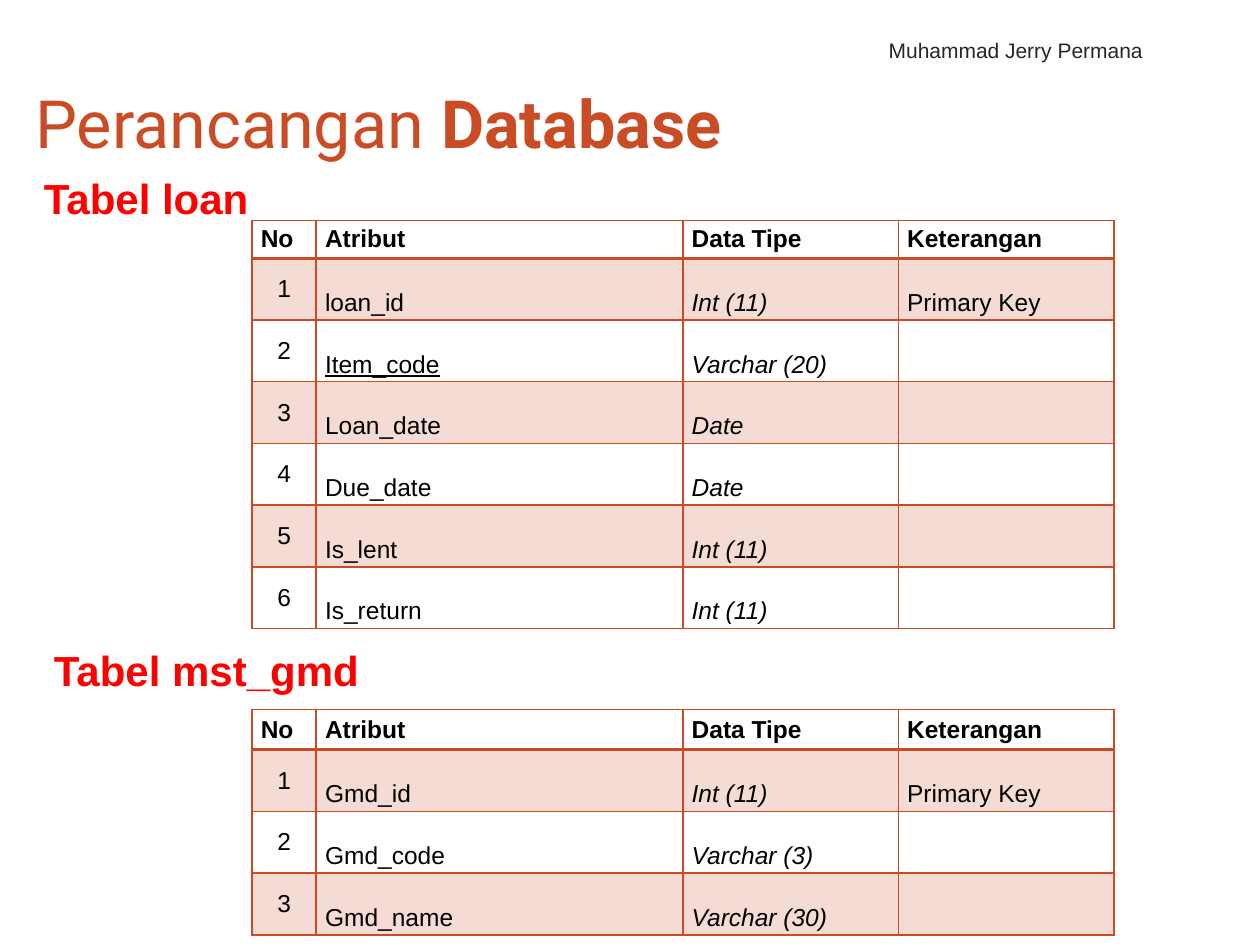
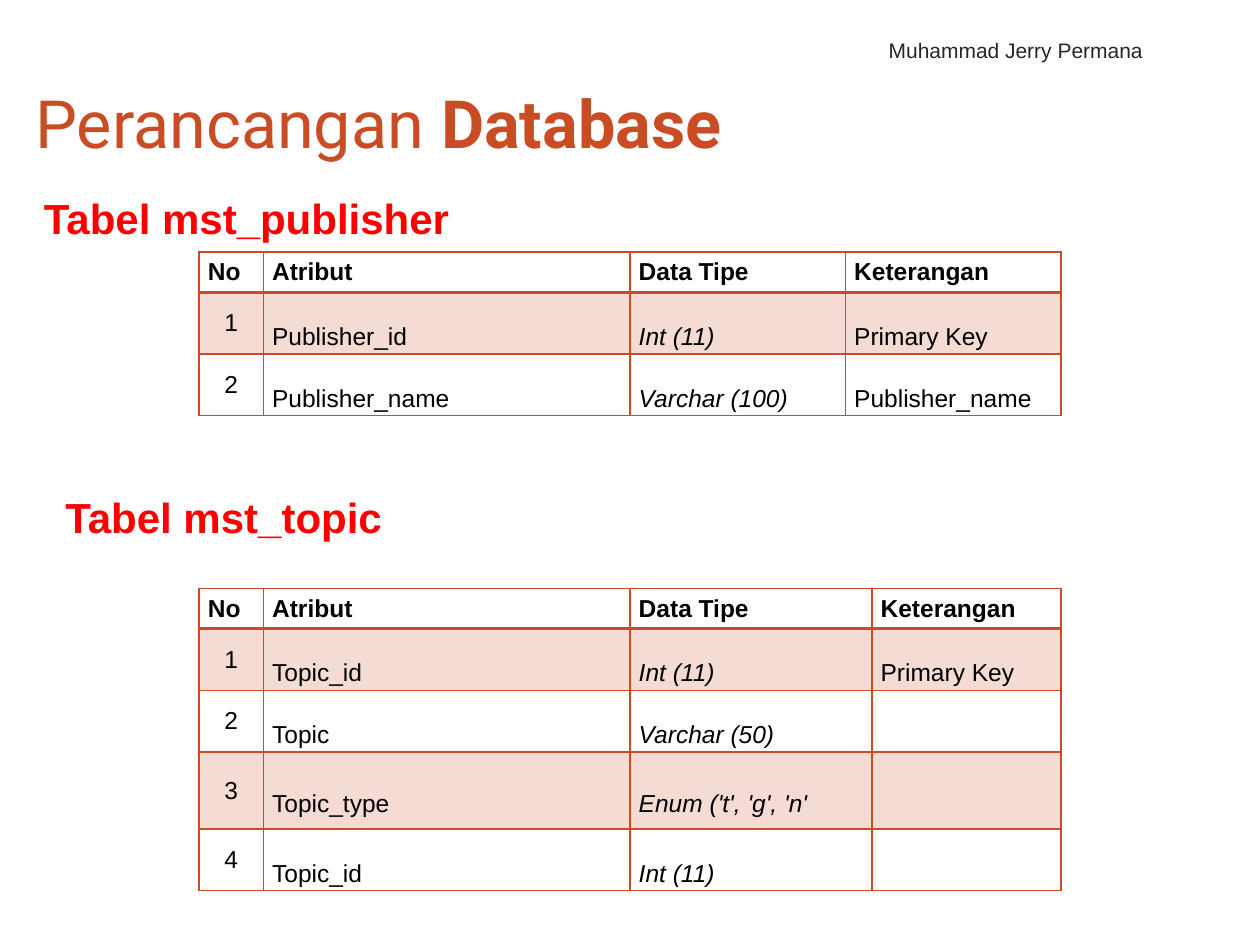
from dataclasses import dataclass

from lxml.etree import SubElement
from pptx import Presentation
from pptx.dml.color import RGBColor
from pptx.enum.text import MSO_ANCHOR, MSO_AUTO_SIZE, PP_ALIGN
from pptx.oxml.ns import qn
from pptx.util import Inches, Pt

RUST = "C94C25"
RED = "FF0000"
BLACK = "000000"
DARK_GREY = "262626"
BODY_FONT = "Arial"
TITLE_FONT = "Roboto"

HEADERS = ("No", "Atribut", "Data Tipe", "Keterangan")
EVEN_COLS = (0.51, 2.91, 1.71, 1.71)
WIDE_TYPE_COLS = (0.51, 2.91, 1.92, 1.5)
ROW_H = 0.49


@dataclass
class Field:
    name: str
    data_type: str
    note: str = ""
    underline: bool = False
    height: float = ROW_H


@dataclass
class DbTable:
    heading: str
    heading_at: tuple[float, float]
    table_at: tuple[float, float]
    fields: list[Field]
    cols: tuple[float, ...] = EVEN_COLS
    header_h: float = 0.32


SLIDES = [
    [
        DbTable("Tabel loan", (0.25, 1.12), (2, 1.75), [
            Field("loan_id", "Int (11)", "Primary Key"),
            Field("Item_code", "Varchar (20)", underline=True),
            Field("Loan_date", "Date"),
            Field("Due_date", "Date"),
            Field("Is_lent", "Int (11)"),
            Field("Is_return", "Int (11)"),
        ], header_h=0.3),
        DbTable("Tabel mst_gmd", (0.33, 4.87), (2, 5.63), [
            Field("Gmd_id", "Int (11)", "Primary Key"),
            Field("Gmd_code", "Varchar (3)"),
            Field("Gmd_name", "Varchar (30)"),
        ]),
    ],
    [
        DbTable("Tabel mst_publisher", (0.25, 1.28), (1.58, 2), [
            Field("Publisher_id", "Int (11)", "Primary Key"),
            Field("Publisher_name", "Varchar (100)", "Publisher_name"),
        ]),
        DbTable("Tabel mst_topic", (0.42, 3.65), (1.58, 4.67), [
            Field("Topic_id", "Int (11)", "Primary Key"),
            Field("Topic", "Varchar (50)"),
            Field("Topic_type", "Enum ('t', 'g', 'n'", height=0.61),
            Field("Topic_id", "Int (11)"),
        ], cols=WIDE_TYPE_COLS),
    ],
]


def rgb(color: str) -> RGBColor:
    return RGBColor.from_string(color)


def add_run(p, text: str, size: float, color: str, bold=False, italic=False,
            underline=False, font: str = BODY_FONT) -> None:
    r = p.add_run()
    r.text = text
    r.font.name = font
    r.font.size = Pt(size)
    r.font.color.rgb = rgb(color)
    r.font.bold = bold
    r.font.italic = italic
    r.font.underline = underline


def add_text(s, x: float, y: float, w: float, h: float):
    """Add a wrapping text box and return its text frame."""
    tf = s.shapes.add_textbox(Inches(x), Inches(y), Inches(w), Inches(h)).text_frame
    tf.word_wrap = True
    return tf


# Title and author line
def add_slide_header(s) -> None:
    title = s.shapes.title
    title.left, title.top = Inches(0.08), Inches(0.53)
    title.width, title.height = Inches(6.17), Inches(0.87)
    tf = title.text_frame
    tf.auto_size = MSO_AUTO_SIZE.NONE
    tf.vertical_anchor = MSO_ANCHOR.MIDDLE
    tf.margin_left = tf.margin_right = 0
    p = tf.paragraphs[0]
    p.alignment = PP_ALIGN.LEFT
    p_pr = p._p.get_or_add_pPr()
    p_pr.set("marL", str(Inches(0.2)))
    p_pr.set("indent", "0")
    add_run(p, "Perancangan ", 38, RUST, font=TITLE_FONT)
    add_run(p, "Database", 38, RUST, bold=True, font=TITLE_FONT)

    tf = add_text(s, 6.25, 0.19, 2.92, 0.36)
    tf.vertical_anchor = MSO_ANCHOR.BOTTOM
    p = tf.paragraphs[0]
    p.alignment = PP_ALIGN.RIGHT
    add_run(p, "Muhammad Jerry Permana", 12, DARK_GREY)


# Table cells
def style_cell(cell, header: bool, shaded: bool, margin_y: float) -> None:
    cell.vertical_anchor = MSO_ANCHOR.MIDDLE
    cell.margin_left = cell.margin_right = Inches(0.07)
    cell.margin_top = cell.margin_bottom = Inches(margin_y)
    tc_pr = cell._tc.get_or_add_tcPr()
    for side in "LRTB":
        width = 2 if header and side == "B" else 1
        ln = SubElement(tc_pr, qn(f"a:ln{side}"), w=str(Pt(width)))
        line_fill = SubElement(ln, qn("a:solidFill"))
        SubElement(line_fill, qn("a:srgbClr"), val=RUST)
    if shaded:
        cell.fill.solid()
        cell.fill.fore_color.rgb = rgb(RUST)
        clr = tc_pr.find(qn("a:solidFill")).find(qn("a:srgbClr"))
        SubElement(clr, qn("a:alpha"), val="20000")
    else:
        cell.fill.background()


def fill_field_row(table, row: int, field: Field) -> None:
    table.rows[row].height = Inches(field.height)
    values = (str(row), field.name, field.data_type, field.note)
    for col, text in enumerate(values):
        cell = table.cell(row, col)
        style_cell(cell, False, row % 2 == 1, 0.03 if col == 0 else 0)
        if not text:
            continue
        p = cell.text_frame.paragraphs[0]
        if col == 0:
            p.alignment = PP_ALIGN.CENTER
        else:
            p.line_spacing = 2.0
        add_run(p, text, 14, BLACK, italic=col == 2,
                underline=field.underline and col == 1)


# Heading with its table
def add_db_table(s, db: DbTable) -> None:
    p = add_text(s, *db.heading_at, 8.92, 0.63).paragraphs[0]
    p.line_spacing = 1.5
    add_run(p, db.heading, 24, RED, bold=True)

    x, y = db.table_at
    height = db.header_h + sum(f.height for f in db.fields)
    table = s.shapes.add_table(
        len(db.fields) + 1, len(HEADERS), Inches(x), Inches(y),
        Inches(sum(db.cols)), Inches(height)).table
    table.first_row = table.horz_banding = False
    table.rows[0].height = Inches(db.header_h)
    for col, (text, width) in enumerate(zip(HEADERS, db.cols)):
        table.columns[col].width = Inches(width)
        cell = table.cell(0, col)
        style_cell(cell, True, False, 0.03)
        add_run(cell.text_frame.paragraphs[0], text, 14, BLACK, bold=True)
    for row, field in enumerate(db.fields, start=1):
        fill_field_row(table, row, field)


def main() -> None:
    prs = Presentation()
    prs.slide_width, prs.slide_height = Inches(10), Inches(7.5)
    for db_tables in SLIDES:
        s = prs.slides.add_slide(prs.slide_layouts[5])
        add_slide_header(s)
        for db in db_tables:
            add_db_table(s, db)
    prs.save("out.pptx")


if __name__ == "__main__":
    main()
